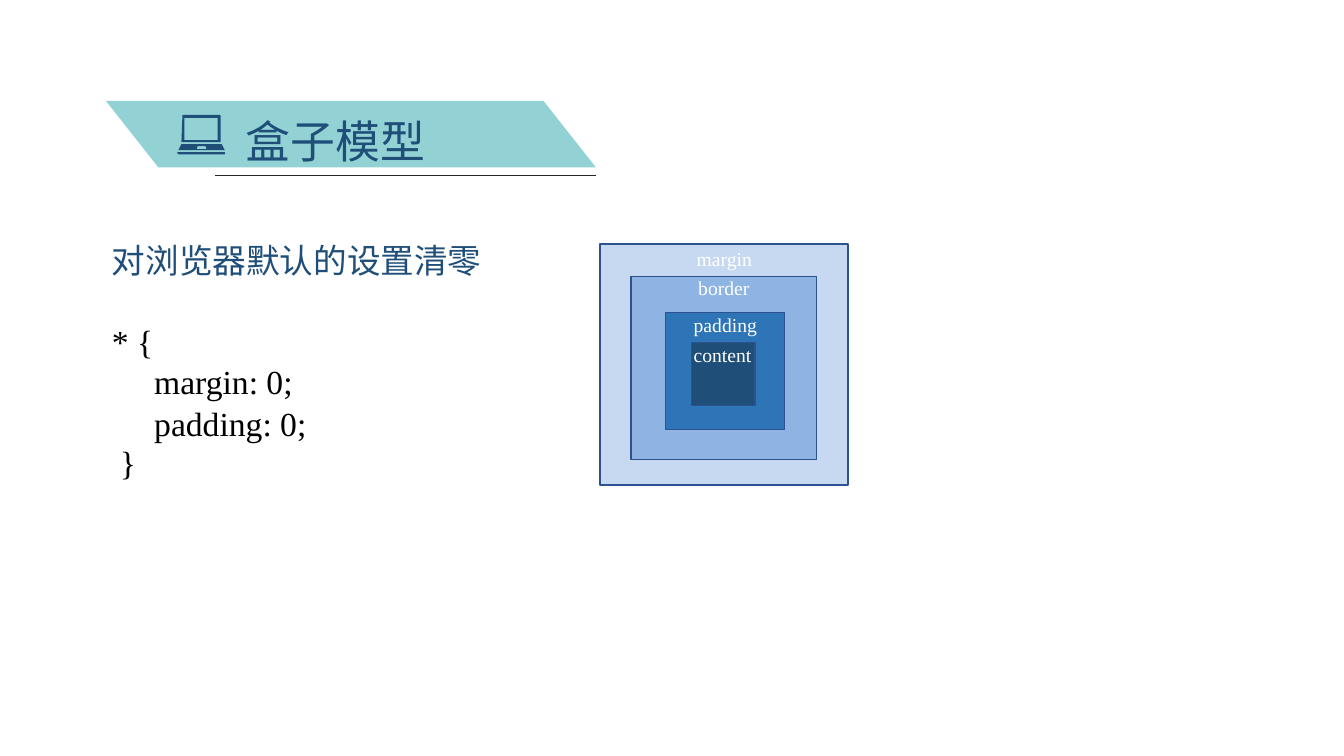
from pptx import Presentation
from pptx.dml.color import RGBColor
from pptx.enum.shapes import MSO_CONNECTOR as Connector, MSO_SHAPE as Shape
from pptx.enum.text import MSO_ANCHOR as Anchor, PP_ALIGN as Align
from pptx.oxml.ns import qn
from pptx.util import Inches, Pt
from lxml.etree import SubElement

COLORS = {
    "banner": "92D2D4", "rule": "252525", "navy": "1F4E79",
    "black": "000000", "white": "FFFFFF", "outline": "2E528F",
    "margin": "C6D9F1", "border": "8EB4E3", "padding": "2D75B6",
}
SERIF, CHINESE = "Times New Roman", "Noto Sans CJK SC"


def write(shape, text, size=14, font=SERIF, color="white", align=Align.LEFT,
          indent=0.01, gap=0):
    frame = shape.text_frame
    frame.word_wrap = True
    frame.vertical_anchor = Anchor.TOP
    frame.margin_left = frame.margin_right = 0
    frame.margin_top = frame.margin_bottom = 0
    for number, line in enumerate(text.split("\n")):
        paragraph = frame.add_paragraph() if number else frame.paragraphs[0]
        paragraph.alignment = align
        paragraph.space_before = Pt(gap if number else 0)
        paragraph._p.get_or_add_pPr().set("marL", str(Inches(indent)))
        run = paragraph.add_run()
        run.text = line
        run.font.size = Pt(size)
        run.font.name = font
        run.font.color.rgb = RGBColor.from_string(COLORS[color])
        east_asian = SubElement(run._r.get_or_add_rPr(), qn("a:ea"))
        east_asian.set("typeface", CHINESE)


def draw_outline(contours, color):
    points = [[(Inches(x), Inches(y)) for x, y in contour] for contour in contours]
    builder = slide.shapes.build_freeform(*points[0][0], scale=1.0)
    builder.add_line_segments(points[0][1:], close=True)
    for contour in points[1:]:
        builder.move_to(*contour[0])
        builder.add_line_segments(contour[1:], close=True)
    shape = builder.convert_to_shape()
    shape.shadow.inherit = False
    shape.fill.solid()
    shape.fill.fore_color.rgb = RGBColor.from_string(COLORS[color])
    shape.line.fill.background()


presentation = Presentation()
presentation.slide_width, presentation.slide_height = Inches(13.33), Inches(7.5)
slide = presentation.slides.add_slide(presentation.slide_layouts[6])

# Title banner with its rule
draw_outline([[(1.05, 1), (5.39, 1), (5.91, 1.66), (1.57, 1.66)]], "banner")
rule = slide.shapes.add_connector(
    Connector.STRAIGHT, Inches(2.13), Inches(1.74), Inches(5.91), Inches(1.74))
rule.line.color.rgb = RGBColor.from_string(COLORS["rule"])
rule.line.width = Pt(0.48)
SubElement(rule._element.spPr, qn("a:effectLst"))

# Laptop icon: screen frame, keyboard with touchpad notch, base
draw_outline([
    [(1.81, 1.14), (2.18, 1.14), (2.19, 1.15), (2.19, 1.41), (1.8, 1.41)],
    [(1.83, 1.17), (1.83, 1.39), (2.16, 1.39), (2.16, 1.17)],
    [(1.8, 1.43), (2.2, 1.43), (2.23, 1.49), (1.77, 1.49)],
    [(1.96, 1.45), (1.95, 1.48), (2.05, 1.48), (2.04, 1.45)],
    [(1.76, 1.51), (2.23, 1.51), (2.23, 1.53), (1.77, 1.53), (1.76, 1.52)],
], "navy")

# Nested boxes of the model
boxes = [
    ("margin", 5.95, 2.42, 2.46, 2.39, None, 0),
    ("border", 6.26, 2.74, 1.84, 1.82, Align.CENTER, 0),
    ("padding", 6.6, 3.1, 1.18, 1.16, Align.LEFT, 0.28),
    ("content", 6.86, 3.4, 0.63, 0.62, Align.LEFT, 0.02),
]
for name, left, top, width, height, align, indent in boxes:
    box = slide.shapes.add_shape(
        Shape.RECTANGLE, Inches(left), Inches(top), Inches(width), Inches(height))
    box.shadow.inherit = False
    box.fill.solid()
    box.fill.fore_color.rgb = RGBColor.from_string(COLORS.get(name, COLORS["navy"]))
    box.line.color.rgb = RGBColor.from_string(COLORS["outline"])
    box.line.width = Pt(0.96)
    if align is not None:
        write(box, name, align=align, indent=indent)

# Title, margin label, heading and the CSS rule
labels = [
    ("盒子模型", 2.43, 1.13, 8.47, 0.47, dict(size=32, font="Courier New", color="navy")),
    ("margin", 6.9, 2.45, 0.6, 0.22, dict()),
    ("对浏览器默认的设置清零", 1.1, 2.38, 3.9, 0.36, dict(size=24, font=CHINESE, color="navy")),
    ("* {", 1.1, 3.18, 0.44, 0.36, dict(size=24, color="black")),
    ("margin: 0;\npadding: 0;", 1.52, 3.58, 1.6, 0.76, dict(size=24, color="black", gap=1.2)),
    ("}", 1.18, 4.38, 0.19, 0.36, dict(size=24, color="black")),
]
for text, left, top, width, height, style in labels:
    label = slide.shapes.add_textbox(
        Inches(left), Inches(top), Inches(width), Inches(height))
    write(label, text, **style)

presentation.save("out.pptx")
